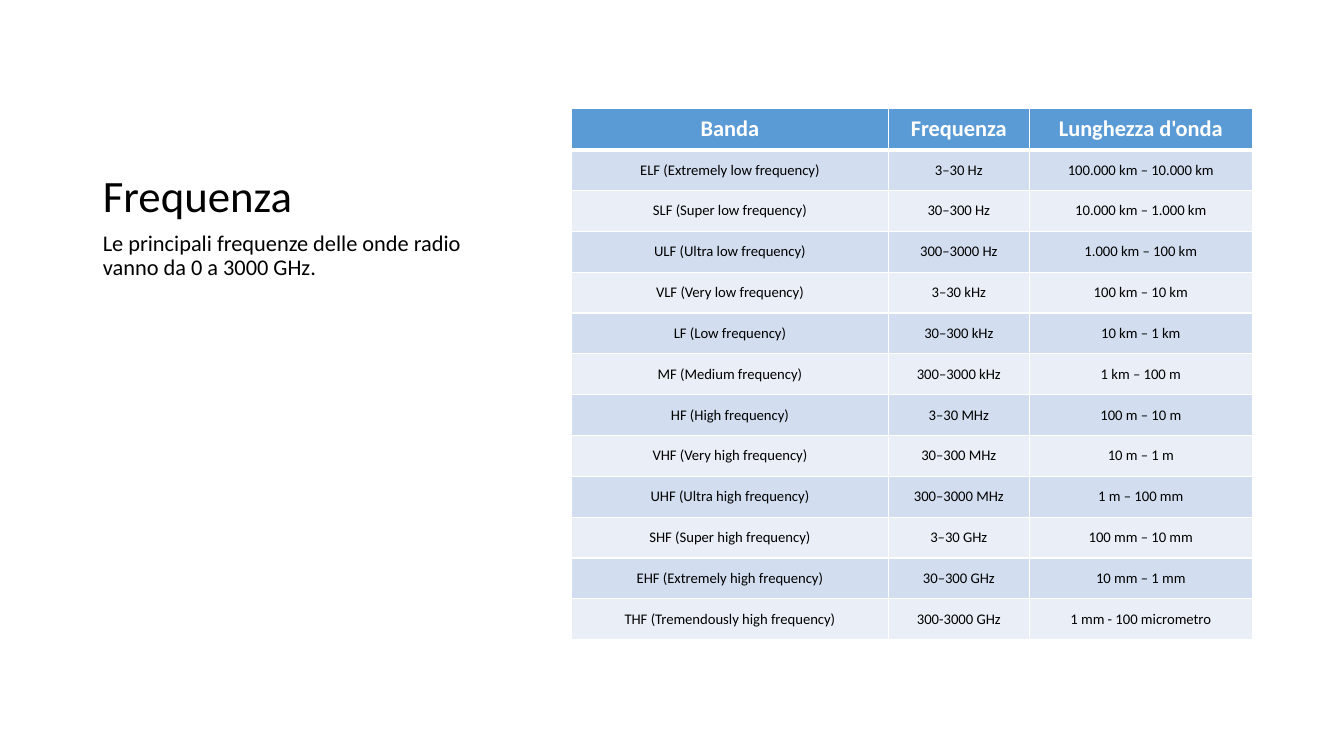
import pptx
import pptx.util
import pptx.dml.color
import pptx.enum.text
import pptx.oxml
import pptx.oxml.ns

Inches = pptx.util.Inches
Pt = pptx.util.Pt
ALIGN = pptx.enum.text.PP_ALIGN
ANCHOR = pptx.enum.text.MSO_ANCHOR

HEAD = ("Banda", "Frequenza", "Lunghezza d'onda")
BANDS = [
    ("ELF (Extremely low frequency)", "3–30\u00a0Hz", "100.000\u00a0km – 10.000\u00a0km"),
    ("SLF (Super low frequency)", "30–300\u00a0Hz", "10.000\u00a0km – 1.000\u00a0km"),
    ("ULF (Ultra low frequency)", "300–3000\u00a0Hz", "1.000\u00a0km – 100\u00a0km"),
    ("VLF (Very low frequency)", "3–30 kHz", "100\u00a0km – 10\u00a0km"),
    ("LF (Low frequency)", "30–300\u00a0kHz", "10\u00a0km – 1\u00a0km"),
    ("MF (Medium frequency)", "300–3000\u00a0kHz", "1 km – 100 m"),
    ("HF (High frequency)", "3–30 MHz", "100\u00a0m – 10\u00a0m"),
    ("VHF (Very high frequency)", "30–300\u00a0MHz", "10\u00a0m – 1\u00a0m"),
    ("UHF (Ultra high frequency)", "300–3000\u00a0MHz", "1 m – 100 mm"),
    ("SHF (Super high frequency)", "3–30\u00a0GHz", "100 mm – 10 mm"),
    ("EHF (Extremely high frequency)", "30–300\u00a0GHz", "10 mm – 1 mm"),
    ("THF (Tremendously high frequency)", "300-3000\u00a0GHz", "1 mm - 100 micrometro"),
]


def color(code):
    """Turn a hex string into a colour."""
    return pptx.dml.color.RGBColor.from_string(code)


class Page:
    """Style and current slide."""
    font = "Calibri"
    ink, white, blue = "000000", "FFFFFF", "5B9BD5"
    stripes = ("D2DEEF", "EAEFF7")

    def __init__(self, slide):
        """Keep the slide to draw on."""
        self.slide = slide

    def label(self, para, text, size, tone, align, bold=False):
        """Fill a paragraph with styled text."""
        para.text = text
        para.alignment = align
        para.font.name = self.font
        para.font.size = Pt(size)
        para.font.bold = bold
        para.font.color.rgb = color(tone)

    def place(self, shape, box, text, size, anchor, before=0):
        """Move a placeholder and set its text."""
        shape.left, shape.top, shape.width, shape.height = map(Inches, box)
        frame = shape.text_frame
        frame.auto_size = pptx.enum.text.MSO_AUTO_SIZE.NONE
        frame.vertical_anchor = anchor
        para = frame.paragraphs[0]
        self.label(para, text, size, self.ink, ALIGN.LEFT)
        para.line_spacing = 0.9
        para.space_before = Pt(before)

    def edge(self, cell, top, bottom):
        """Draw white borders round a cell, widths in points."""
        widths = {"L": 1, "R": 1, "T": top, "B": bottom}
        props = cell._tc.get_or_add_tcPr()
        for place, (side, width) in enumerate(widths.items()):
            props.insert(place, pptx.oxml.parse_xml(
                f'<a:ln{side} {pptx.oxml.ns.nsdecls("a")} w="{Pt(width)}">'
                f'<a:solidFill><a:srgbClr val="{self.white}"/></a:solidFill>'
                f'</a:ln{side}>'))

    def table(self, left, top, widths, height, rows):
        """Add a striped table with a heading row."""
        frame = self.slide.shapes.add_table(
            len(rows), len(widths), Inches(left), Inches(top),
            Inches(sum(widths)), Inches(height))
        grid = frame.table
        for column, width in zip(grid.columns, widths):
            column.width = Inches(width)
        for r, row in enumerate(rows):
            grid.rows[r].height = Inches(height / len(rows))
            head = r == 0
            fill = self.blue if head else self.stripes[(r - 1) % 2]
            size, tone = (16, self.white) if head else (10.5, self.ink)
            for c, text in enumerate(row):
                cell = grid.cell(r, c)
                cell.fill.solid()
                cell.fill.fore_color.rgb = color(fill)
                cell.vertical_anchor = ANCHOR.MIDDLE
                self.label(cell.text_frame.paragraphs[0], text, size, tone,
                           ALIGN.CENTER, head)
                self.edge(cell, 3 if r == 1 else 1, 3 if head else 1)


deck = pptx.Presentation()
deck.slide_width, deck.slide_height = Inches(13.33), Inches(7.5)
slide = deck.slides.add_slide(deck.slide_layouts.get_by_name("Content with Caption"))
page = Page(slide)
title, content, body = slide.placeholders
content.element.getparent().remove(content.element)

page.place(title, (0.92, 0.5, 4.3, 1.75), "Frequenza", 32, ANCHOR.BOTTOM)
page.place(body, (0.92, 2.25, 4.3, 4.17),
           "Le principali frequenze delle onde radio vanno da 0 a 3000 GHz.",
           16, ANCHOR.TOP, before=10)
page.table(5.67, 1.08, (3.14, 1.4, 2.21), 5.27, [HEAD] + BANDS)

deck.save("out.pptx")
